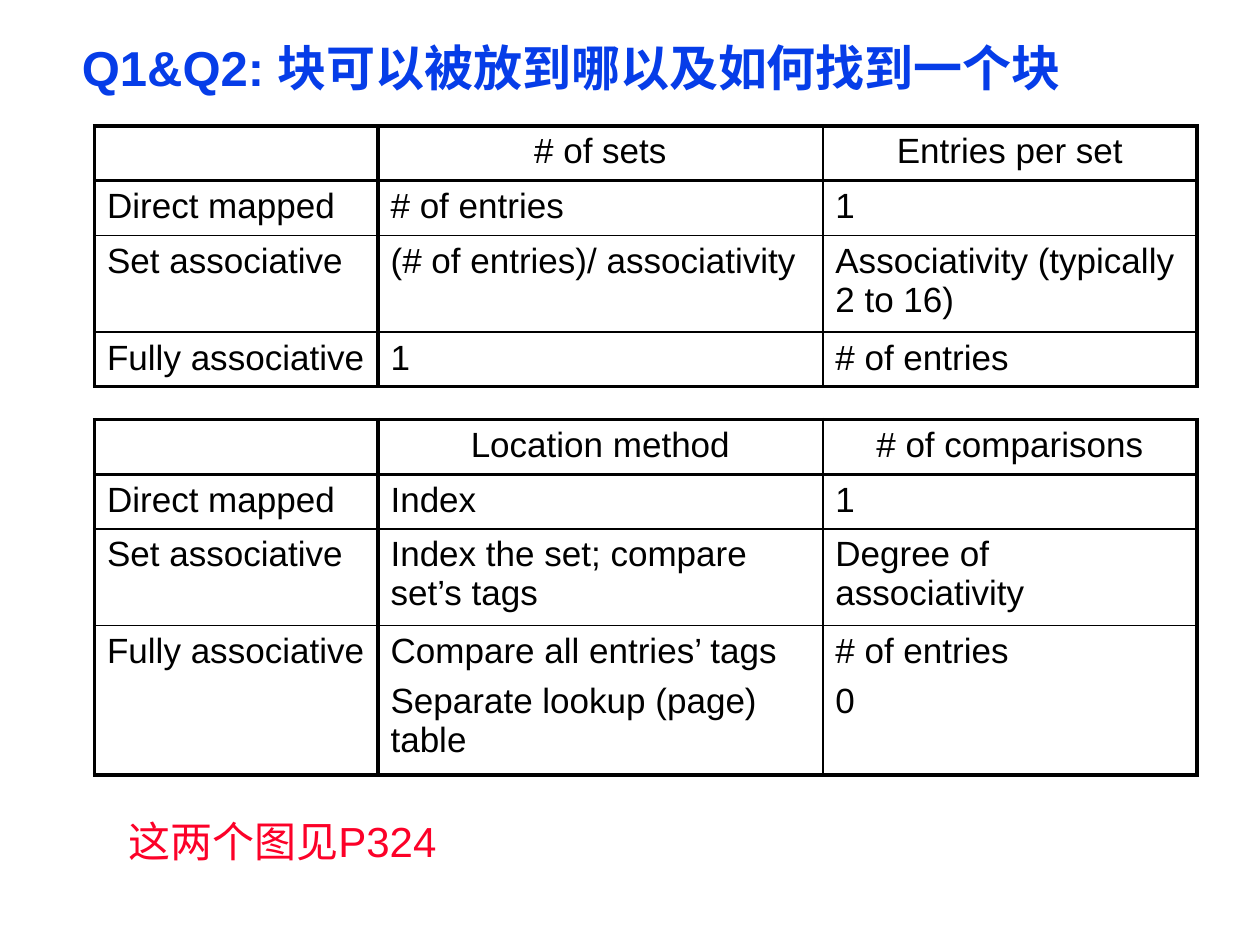
from dataclasses import dataclass

from lxml import etree
from pptx import Presentation
from pptx.dml.color import RGBColor
from pptx.enum.text import MSO_ANCHOR, PP_ALIGN
from pptx.oxml.ns import qn
from pptx.util import Inches, Pt

LEFT, CENTER = PP_ALIGN.LEFT, PP_ALIGN.CENTER
TOP, MIDDLE = MSO_ANCHOR.TOP, MSO_ANCHOR.MIDDLE


@dataclass(frozen=True)
class Theme:
    font: str = "Arial"
    blue: str = "063DE8"
    red: str = "FC0128"
    black: str = "000000"
    title_size: int = 28
    note_size: int = 24
    cell_size: int = 20
    thick: float = 2.25
    thin: float = 1


THEME = Theme()
COL_WIDTHS = (2.25, 3.53, 2.97)
COL_RULES = (THEME.thick, THEME.thick, THEME.thin, THEME.thick)
ROW_RULES = (THEME.thick, THEME.thick, THEME.thin, THEME.thin, THEME.thick)

SETS_ROWS = (
    ("", "# of sets", "Entries per set"),
    ("Direct mapped", "# of entries", "1"),
    ("Set associative", "(# of entries)/ associativity",
     "Associativity (typically 2 to 16)"),
    ("Fully associative", "1", "# of entries"),
)
LOOKUP_ROWS = (
    ("", "Location method", "# of comparisons"),
    ("Direct mapped", "Index", "1"),
    ("Set associative", "Index the set; compare set’s tags",
     "Degree of associativity"),
    ("Fully associative",
     "Compare all entries’ tags\nSeparate lookup (page) table",
     "# of entries\n0"),
)


def write_text(tf, text, size, color=THEME.black, bold=False, align=LEFT,
               line_spacing=None, gap=0):
    """Write one paragraph per line of text, with gap points between them."""
    tf.word_wrap = True
    for i, line in enumerate(text.split("\n")):
        p = tf.add_paragraph() if i else tf.paragraphs[0]
        p.alignment = align
        p.line_spacing = line_spacing
        p.space_before = Pt(gap if i else 0)
        p.font.size = Pt(size)
        if line:
            r = p.add_run()
            r.text = line
            r.font.name = THEME.font
            r.font.size = Pt(size)
            r.font.bold = bold
            r.font.color.rgb = RGBColor.from_string(color)


def add_text(s, box, text, margins=(0.1, 0.05), anchor=TOP, **text_format):
    tf = s.shapes.add_textbox(*map(Inches, box)).text_frame
    tf.margin_left = tf.margin_right = Inches(margins[0])
    tf.margin_top = tf.margin_bottom = Inches(margins[1])
    tf.vertical_anchor = anchor
    write_text(tf, text, **text_format)


def set_borders(cell, row, col):
    widths = {"a:lnL": COL_RULES[col], "a:lnR": COL_RULES[col + 1],
              "a:lnT": ROW_RULES[row], "a:lnB": ROW_RULES[row + 1]}
    tc_pr = cell._tc.get_or_add_tcPr()
    for tag, width in widths.items():
        ln = etree.SubElement(tc_pr, qn(tag), w=str(Pt(width)))
        fill = etree.SubElement(ln, qn("a:solidFill"))
        etree.SubElement(fill, qn("a:srgbClr"), val=THEME.black)


def add_grid(s, top, rows, heights):
    shape = s.shapes.add_table(
        len(rows), len(COL_WIDTHS), Inches(0.75), Inches(top),
        Inches(sum(COL_WIDTHS)), Inches(sum(heights)))
    table = shape.table
    table.first_row = table.horz_banding = False
    for column, width in zip(table.columns, COL_WIDTHS):
        column.width = Inches(width)
    for i, (texts, height) in enumerate(zip(rows, heights)):
        table.rows[i].height = Inches(height)
        for j, text in enumerate(texts):
            cell = table.cell(i, j)
            set_borders(cell, i, j)
            cell.fill.background()
            write_text(cell.text_frame, text, size=THEME.cell_size, gap=6,
                       align=LEFT if i else CENTER)


def main():
    prs = Presentation()
    prs.slide_width, prs.slide_height = Inches(10), Inches(7.5)
    s = prs.slides.add_slide(prs.slide_layouts[6])
    add_text(s, (0.58, 0.33, 8.92, 0.47), "Q1&Q2: 块可以被放到哪以及如何找到一个块",
             margins=(0.07, 0.03), anchor=MIDDLE, size=THEME.title_size,
             color=THEME.blue, bold=True, line_spacing=0.87)
    add_grid(s, 1, SETS_ROWS, (0.41, 0.41, 0.72, 0.41))
    add_grid(s, 3.33, LOOKUP_ROWS, (0.41, 0.41, 0.72, 1.11))
    add_text(s, (0.92, 6.42, 6.75, 0.5), "这两个图见P324",
             size=THEME.note_size, color=THEME.red)
    prs.save("out.pptx")


if __name__ == "__main__":
    main()
